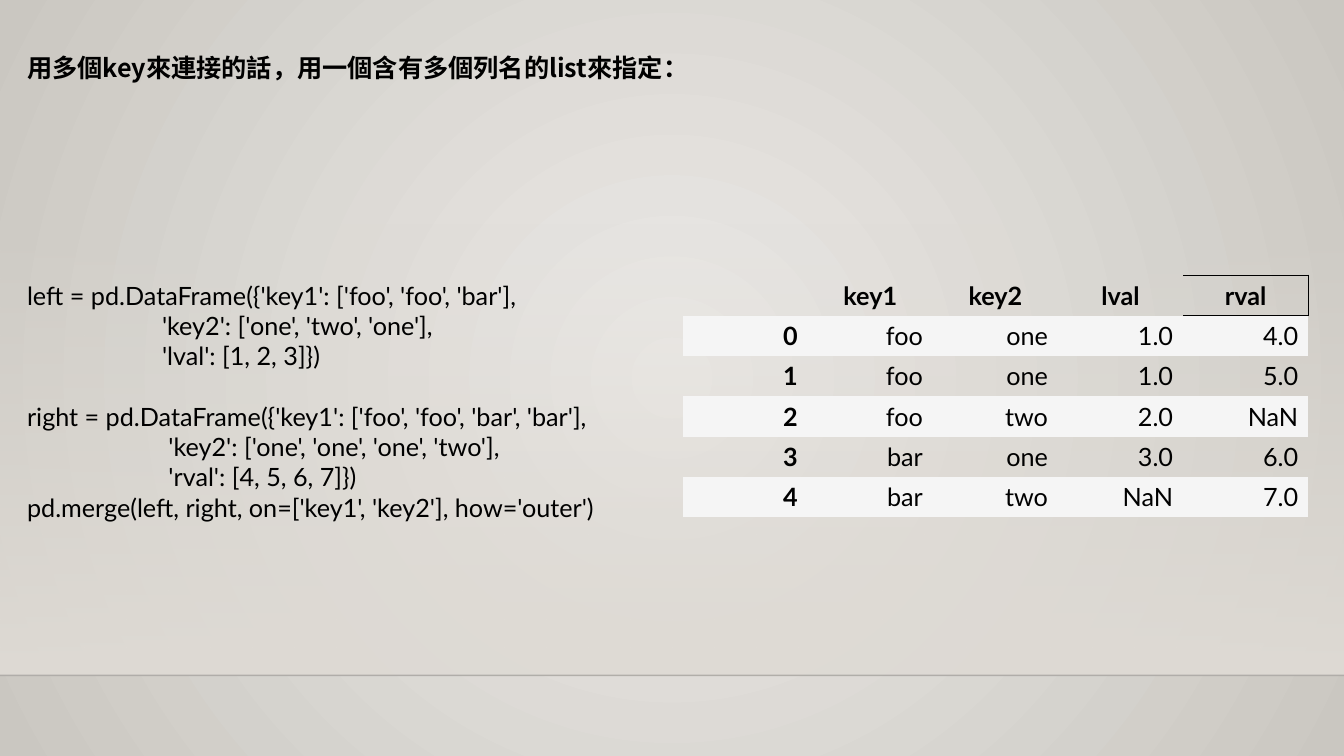
import pptx
import pptx.util
import pptx.dml.color
import pptx.enum.shapes
import pptx.enum.text
import pptx.oxml.ns
from dataclasses import dataclass
from lxml import etree

Pt = pptx.util.Pt
ALIGN = pptx.enum.text.PP_ALIGN
qn = pptx.oxml.ns.qn


@dataclass(frozen=True)
class Theme:
    ink: str = "000000"
    rule: str = "000001"
    stripe: str = "F5F5F5"
    glow: str = "ECEAE7"
    edge: str = "CAC7C1"
    wall: str = "DFDBD5"
    body_font: str = "Lato"
    title_font: str = "Noto Sans CJK SC"
    size: float = 18
    plain_table: str = "{2D5ABB26-0587-4C30-8999-92F81FD0307C}"


def rgb(value):
    return pptx.dml.color.RGBColor.from_string(value)


def add(parent, tag, **attributes):
    return etree.SubElement(parent, qn(tag), attributes)


def write(paragraph, text, *, font, size, color, bold=False, align=ALIGN.LEFT,
          indent=0, before=0):
    paragraph.alignment = align
    paragraph.space_before = Pt(before)
    if indent:
        paragraph._p.get_or_add_pPr().set("marL", str(Pt(indent)))
    run = paragraph.add_run()
    run.text = text
    run.font.name, run.font.size, run.font.bold = font, Pt(size), bold
    run.font.color.rgb = rgb(color)
    add(run._r.get_or_add_rPr(), "a:ea", typeface=font)


class SlideBuilder:
    def __init__(self, slide, theme):
        self.slide, self.theme = slide, theme

    def gradient(self, fill, colors):
        fill.gradient()
        for stop, color in zip(fill.gradient_stops, colors):
            stop.color.rgb = rgb(color)

    def background(self):
        self.gradient(self.slide.background.fill, (self.theme.glow, self.theme.edge))
        gradient = self.slide.element.find(".//" + qn("a:gradFill"))
        gradient.remove(gradient.find(qn("a:lin")))
        circle = add(gradient, "a:path", path="circle")
        add(circle, "a:fillToRect", l="50000", t="50000", r="50000", b="50000")

    def wall(self, left, top, width, height):
        shape = self.slide.shapes.add_shape(
            pptx.enum.shapes.MSO_SHAPE.RECTANGLE, Pt(left), Pt(top), Pt(width), Pt(height))
        shape.shadow.inherit = False
        shape.line.fill.background()
        self.gradient(shape.fill, (self.theme.wall, self.theme.wall))
        shape.fill.gradient_angle = 270
        add(shape.element.find(".//" + qn("a:srgbClr")), "a:alpha", val="0")

    def rule(self, y, width):
        line = self.slide.shapes.add_connector(
            pptx.enum.shapes.MSO_CONNECTOR.STRAIGHT, 0, Pt(y), Pt(width), Pt(y))
        line.line.width = Pt(1)
        line.line.color.rgb = rgb(self.theme.rule)
        add(line.element.find(".//" + qn("a:srgbClr")), "a:alpha", val="20000")
        add(line.element.spPr, "a:effectLst")

    def text(self, left, top, width, height, lines, wrap=True, **style):
        frame = self.slide.shapes.add_textbox(
            Pt(left), Pt(top), Pt(width), Pt(height)).text_frame
        frame.word_wrap = wrap
        frame.auto_size = pptx.enum.text.MSO_AUTO_SIZE.SHAPE_TO_FIT_TEXT
        look = dict(font=self.theme.body_font, size=self.theme.size, color=self.theme.ink)
        for index, (line, layout) in enumerate(lines):
            paragraph = frame.add_paragraph() if index else frame.paragraphs[0]
            write(paragraph, line, **{**look, **style, **layout})

    def table(self, left, top, column_width, row_height, rows):
        columns = len(rows[0])
        frame = self.slide.shapes.add_table(
            len(rows), columns, Pt(left), Pt(top),
            Pt(column_width * columns), Pt(row_height * len(rows)))
        table = frame.table
        table.first_row = table.horz_banding = False
        frame.element.find(".//" + qn("a:tableStyleId")).text = self.theme.plain_table
        for column in table.columns:
            column.width = Pt(column_width)
        for r, values in enumerate(rows):
            table.rows[r].height = Pt(row_height)
            for c, value in enumerate(values):
                cell = table.cell(r, c)
                cell.vertical_anchor = pptx.enum.text.MSO_ANCHOR.MIDDLE
                if r % 2:
                    cell.fill.solid()
                    cell.fill.fore_color.rgb = rgb(self.theme.stripe)
                else:
                    cell.fill.background()
                write(cell.text_frame.paragraphs[0], value, font=self.theme.body_font,
                      size=self.theme.size, color=self.theme.ink, bold=r == 0 or c == 0,
                      align=ALIGN.RIGHT if r else ALIGN.CENTER)
        return table

    def borders(self, cell, sides):
        properties = cell._tc.get_or_add_tcPr()
        for position, side in enumerate(sides):
            border = add(properties, "a:ln" + side, w=str(Pt(0.75)))
            add(add(border, "a:solidFill"), "a:srgbClr", val=self.theme.ink)
            properties.insert(position, border)


WIDTH, HEIGHT = 960, 540
FLOOR = 482.4
MARGIN, CONTENT_TOP = 12.24, 196.56
LEFT_INDENT, RIGHT_INDENT = 96.4, 101

theme = Theme()
deck = pptx.Presentation()
deck.slide_width, deck.slide_height = Pt(WIDTH), Pt(HEIGHT)
page = SlideBuilder(deck.slides.add_slide(deck.slide_layouts[6]), theme)

# Backdrop
page.background()
page.wall(0, 159.12, WIDTH, FLOOR - 159.12)
page.rule(FLOOR, WIDTH)

# Heading
page.text(MARGIN, 33.84, 496, 28.8,
          [("用多個key來連接的話，用一個含有多個列名的list來指定：", {})],
          wrap=False, font=theme.title_font, bold=True)

# Merge code
left_columns = {"indent": LEFT_INDENT}
right_columns = {"indent": RIGHT_INDENT}
page.text(MARGIN, CONTENT_TOP, 480, 181.44, [
    ("left = pd.DataFrame({'key1': ['foo', 'foo', 'bar'],", {}),
    ("'key2': ['one', 'two', 'one'],", left_columns),
    ("'lval': [1, 2, 3]})", left_columns),
    ("right = pd.DataFrame({'key1': ['foo', 'foo', 'bar', 'bar'],", {"before": 21.6}),
    ("'key2': ['one', 'one', 'one', 'two'],", right_columns),
    ("'rval': [4, 5, 6, 7]})", right_columns),
    ("pd.merge(left, right, on=['key1', 'key2'], how='outer')", {}),
])

# Merged result
merged = page.table(487.6, CONTENT_TOP, 89.4, 28.8, [
    ("", "key1", "key2", "lval", "rval"),
    ("0", "foo", "one", "1.0", "4.0"),
    ("1", "foo", "one", "1.0", "5.0"),
    ("2", "foo", "two", "2.0", "NaN"),
    ("3", "bar", "one", "3.0", "6.0"),
    ("4", "bar", "two", "NaN", "7.0"),
])
page.borders(merged.cell(0, 4), "RTB")

deck.save("out.pptx")
